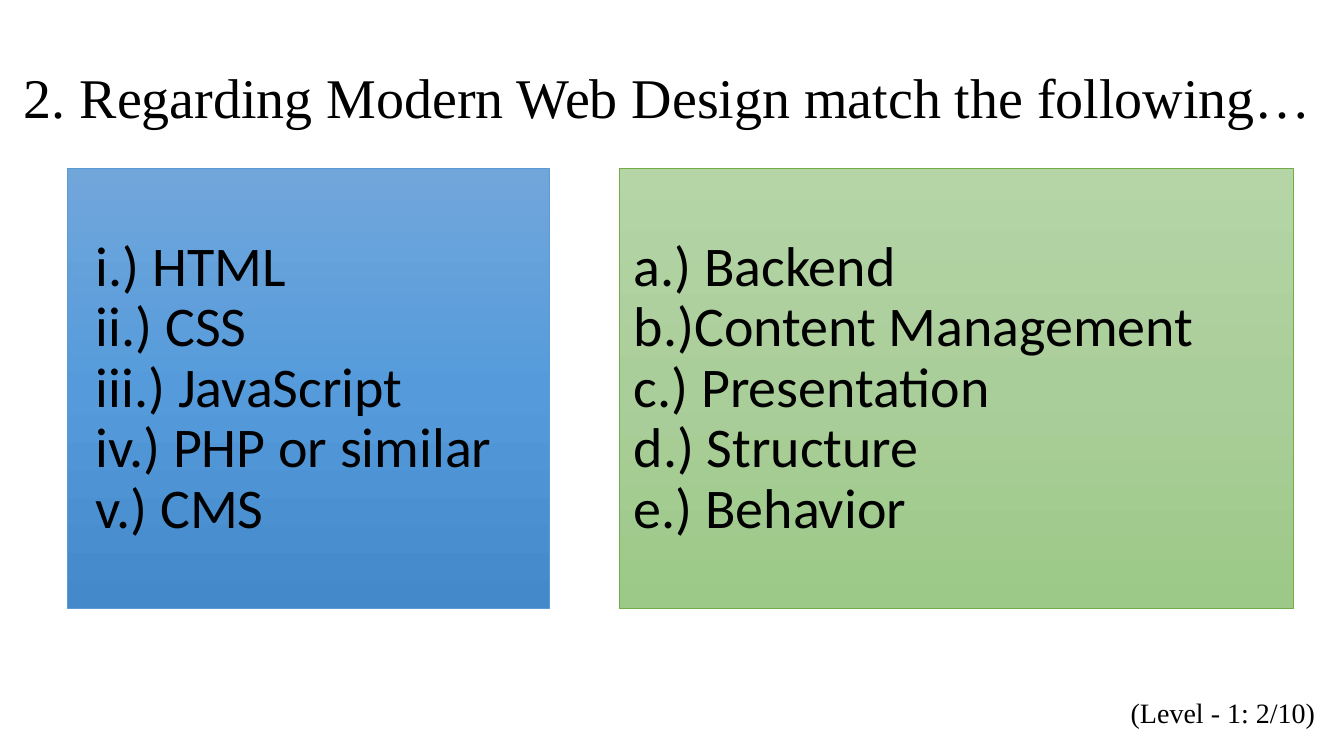
import copy
import pptx
import pptx.dml.color
import pptx.enum.shapes
import pptx.enum.text
import pptx.oxml.ns
import pptx.util

PX = 914400 / 100.8
COLORS = {
    "text": "000000",
    "blue_line": "5B9BD5",
    "blue_stops": ["71A6DB", "559BDB", "448ACA"],
    "green_line": "70AD47",
    "green_stops": ["B5D5A7", "AACE9A", "9CC987"],
}
ALIGN = pptx.enum.text.PP_ALIGN


def box(*px):
    return [pptx.util.Emu(round(v * PX)) for v in px]


def write(shape, text, size, font, align):
    tf = shape.text_frame
    tf.text = text
    tf.word_wrap = True
    tf.auto_size = pptx.enum.text.MSO_AUTO_SIZE.NONE
    tf.vertical_anchor = pptx.enum.text.MSO_ANCHOR.MIDDLE
    for p in tf.paragraphs:
        p.alignment = align
        p.line_spacing = 0.9
        p.space_before = pptx.util.Pt(0)
        for r in p.runs:
            r.font.size = pptx.util.Pt(size)
            r.font.name = font
            r.font.color.rgb = pptx.dml.color.RGBColor.from_string(COLORS["text"])


prs = pptx.Presentation()
prs.slide_width, prs.slide_height = box(1344, 756)
s = prs.slides.add_slide(prs.slide_layouts[5])

panels = [("blue", 67, 482), ("green", 619, 674)]
for name, left, width in panels:
    panel = s.shapes.add_shape(
        pptx.enum.shapes.MSO_SHAPE.RECTANGLE, *box(left, 168, width, 440))
    panel.shadow.inherit = False
    panel.line.color.rgb = pptx.dml.color.RGBColor.from_string(COLORS[name + "_line"])
    panel.line.width = pptx.util.Pt(0.5)
    panel.fill.gradient()
    panel.fill.gradient_angle = 270
    stops = panel._element.spPr.find(".//" + pptx.oxml.ns.qn("a:gsLst"))
    stops.append(copy.deepcopy(stops[-1]))
    for i, stop in enumerate(panel.fill.gradient_stops):
        stop.position = i / 2
        stop.color.rgb = pptx.dml.color.RGBColor.from_string(COLORS[name + "_stops"][i])

title = s.shapes.title
title.left, title.top, title.width, title.height = box(12, 1, 1311, 199)
write(title, "2. Regarding Modern Web Design match the following…", 40,
      "Times New Roman", ALIGN.CENTER)

terms = ["i.) HTML", "ii.) CSS", "iii.) JavaScript", "iv.) PHP or similar", "v.) CMS"]
roles = ["a.) Backend", "b.)Content Management", "c.) Presentation",
         "d.) Structure", "e.) Behavior"]
for lines, left, width in [(terms, 86, 788), (roles, 624, 670)]:
    tb = s.shapes.add_textbox(*box(left, 147, width, 484))
    write(tb, "\n".join(lines), 40, "Calibri", ALIGN.LEFT)

level = s.shapes.add_textbox(*box(1102, 677, 242, 74))
write(level, "(Level - 1: 2/10)", 20, "Times New Roman", ALIGN.CENTER)

prs.save("out.pptx")
